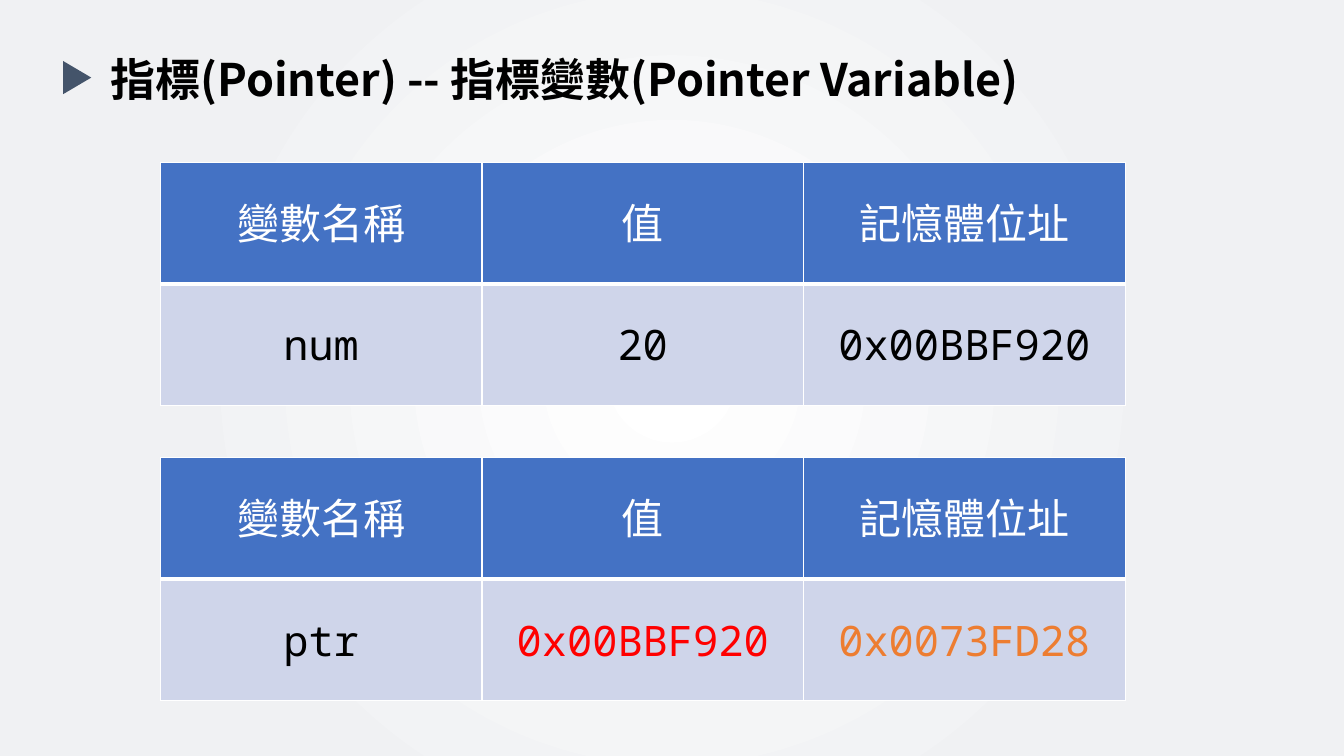
from dataclasses import dataclass

from lxml.etree import SubElement
from pptx import Presentation
from pptx.dml.color import RGBColor
from pptx.enum.shapes import MSO_SHAPE
from pptx.enum.text import MSO_ANCHOR, MSO_AUTO_SIZE, PP_ALIGN
from pptx.oxml import parse_xml
from pptx.oxml.ns import nsdecls, qn
from pptx.util import Inches, Pt


@dataclass(frozen=True)
class Theme:
    """Colours, fonts and type sizes of the slide."""
    glow: str = "FFFFFF"
    backdrop: str = "F0F1F3"
    ink: str = "000000"
    marker: str = "44546A"
    header: str = "4472C4"
    header_ink: str = "FFFFFF"
    body: str = "CFD5EA"
    border: str = "FFFFFF"
    pointed: str = "FF0000"
    own_address: str = "ED7D31"
    title_font: str = "Noto Sans CJK SC"
    table_font: str = "Noto Sans Mono"
    title_size: int = 32
    table_size: int = 30


class PointerSlide:
    """Draws styled elements on the current slide."""

    def __init__(self, slide, theme):
        self.slide = slide
        self.theme = theme

    def background(self):
        """Fill the slide with a circular glow."""
        fill = self.slide.background.fill
        fill.gradient()
        stops = ((0, self.theme.glow), (0.67, self.theme.backdrop))
        for stop, (position, color) in zip(fill.gradient_stops, stops):
            stop.position = position
            stop.color.rgb = RGBColor.from_string(color)
        gradient = next(self.slide.element.iter(qn("a:gradFill")))
        gradient.remove(gradient.find(qn("a:lin")))
        gradient.append(parse_xml(
            f'<a:path {nsdecls("a")} path="circle">'
            '<a:fillToRect l="50000" t="50000" r="50000" b="50000"/></a:path>'))

    def label(self, paragraph, words, face, size, color, bold=False):
        """Add a styled run with matching Latin and East Asian faces."""
        run = paragraph.add_run()
        run.text = words
        font_format = {"name": face, "size": Pt(size), "bold": bold}
        for attribute, value in font_format.items():
            setattr(run.font, attribute, value)
        run.font.color.rgb = RGBColor.from_string(color)
        east_asian = SubElement(run.font._element, qn("a:ea"))
        east_asian.set("typeface", face)

    def title(self, words, left, top, width, height):
        """Add the slide heading."""
        heading = self.slide.shapes.add_textbox(
            Inches(left), Inches(top), Inches(width), Inches(height))
        frame_format = {"word_wrap": True, "auto_size": MSO_AUTO_SIZE.SHAPE_TO_FIT_TEXT}
        for attribute, value in frame_format.items():
            setattr(heading.text_frame, attribute, value)
        self.label(heading.text_frame.paragraphs[0], words, self.theme.title_font,
                   self.theme.title_size, self.theme.ink, bold=True)

    def marker(self, left, top, width, height):
        """Add the triangle pointing at the heading."""
        arrow = self.slide.shapes.add_shape(
            MSO_SHAPE.ISOSCELES_TRIANGLE,
            Inches(left), Inches(top), Inches(width), Inches(height))
        arrow.rotation = 90
        arrow.shadow.inherit = False
        arrow.fill.solid()
        arrow.fill.fore_color.rgb = RGBColor.from_string(self.theme.marker)
        arrow.line.fill.background()

    def cell(self, cell, words, fill, ink, bottom):
        """Fill, border and label one table cell."""
        cell.vertical_anchor = MSO_ANCHOR.MIDDLE
        cell.fill.solid()
        cell.fill.fore_color.rgb = RGBColor.from_string(fill)
        properties = cell._tc.get_or_add_tcPr()
        edges = {"lnL": 1, "lnR": 1, "lnT": 1, "lnB": bottom}
        for order, (edge, weight) in enumerate(edges.items()):
            properties.insert(order, parse_xml(
                f'<a:{edge} {nsdecls("a")} w="{Pt(weight)}"><a:solidFill>'
                f'<a:srgbClr val="{self.theme.border}"/></a:solidFill></a:{edge}>'))
        paragraph = cell.text_frame.paragraphs[0]
        paragraph.alignment = PP_ALIGN.CENTER
        self.label(paragraph, words, self.theme.table_font, self.theme.table_size, ink)

    def variable_table(self, headings, values, inks, left, top, width, height):
        """Add a table that describes one variable."""
        table = self.slide.shapes.add_table(
            2, len(headings), Inches(left), Inches(top),
            Inches(width), Inches(height)).table
        for column, (heading, value, ink) in enumerate(zip(headings, values, inks)):
            self.cell(table.cell(0, column), heading, self.theme.header,
                      self.theme.header_ink, bottom=3)
            self.cell(table.cell(1, column), value, self.theme.body, ink, bottom=1)


def main():
    """Build and save the pointer variable slide."""
    deck = Presentation()
    deck.slide_width, deck.slide_height = Inches(13.33), Inches(7.5)
    theme = Theme()
    page = PointerSlide(deck.slides.add_slide(deck.slide_layouts[6]), theme)
    page.background()
    page.title("指標(Pointer) -- 指標變數(Pointer Variable)", 1, 0.46, 12.22, 0.64)
    page.marker(0.6, 0.63, 0.33, 0.28)

    headings = ("變數名稱", "值", "記憶體位址")
    variables = (
        (1.61, ("num", "20", "0x00BBF920"), (theme.ink,) * 3),
        (4.54, ("ptr", "0x00BBF920", "0x0073FD28"),
         (theme.ink, theme.pointed, theme.own_address)),
    )
    for top, values, inks in variables:
        page.variable_table(headings, values, inks, 1.59, top, 9.57, 2.41)
    deck.save("out.pptx")


if __name__ == "__main__":
    main()
